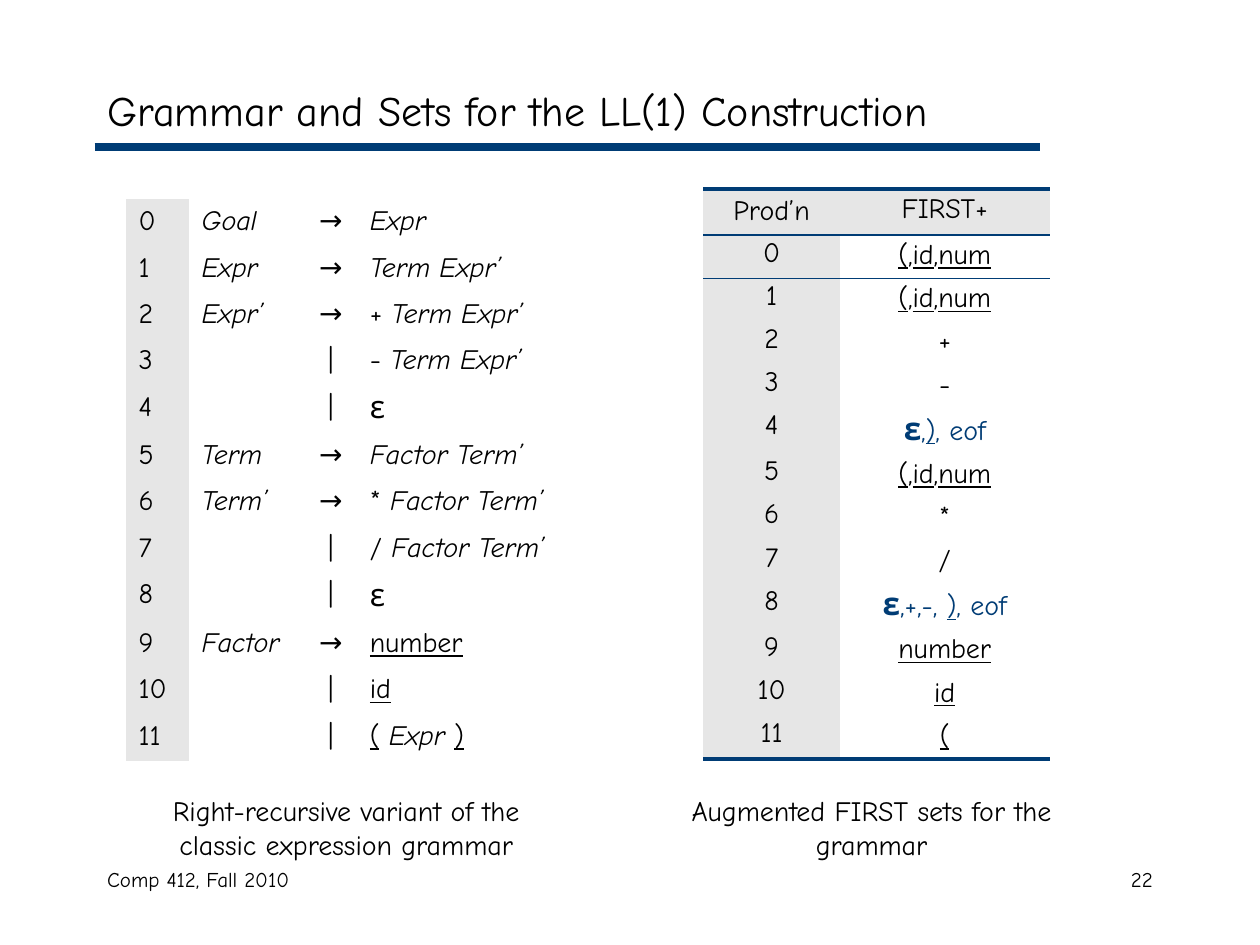
from typing import NamedTuple

from lxml.etree import SubElement as Sub
from pptx import Presentation
from pptx.dml.color import RGBColor
from pptx.enum.shapes import MSO_CONNECTOR as Link
from pptx.enum.text import MSO_ANCHOR as Anchor, PP_ALIGN as Align
from pptx.oxml import parse_xml
from pptx.oxml.ns import nsdecls, qn
from pptx.util import Cm, Pt

NAVY = RGBColor(0x00, 0x3C, 0x75)
GREY = RGBColor(0xE6, 0xE6, 0xE6)
BLACK = RGBColor(0, 0, 0)
FACE = "Comic Neue"
PLAIN = "{2D5ABB26-0587-4C30-8999-92F81FD0307C}"


class Run(NamedTuple):
    text: str
    size: float = 16
    color: RGBColor = BLACK
    slant: bool = False
    under: bool = False
    bold: bool = False


class Rule(NamedTuple):
    left: str
    mark: str
    right: list[Run]


class Note(NamedTuple):
    text: str
    x: float
    y: float
    w: float
    h: float
    size: float
    align: Align


def slant(text: str) -> Run:
    return Run(text, slant=True)


def under(text: str, color: RGBColor = BLACK) -> Run:
    return Run(text, color=color, under=True)


def blue(text: str) -> Run:
    return Run(text, color=NAVY)


def write(para, runs: list[Run], align=Align.LEFT, gap=None) -> None:
    para.alignment = align
    if gap:
        para.line_spacing = gap
    for item in runs:
        run = para.add_run()
        run.text = item.text
        font = run.font
        font.name, font.size = FACE, Pt(item.size)
        font.color.rgb = item.color
        font.italic, font.underline, font.bold = item.slant, item.under, item.bold
    if not runs:
        Sub(para._p, qn("a:endParaRPr"), sz="1600")


def shade(cell, grey: bool) -> None:
    if grey:
        cell.fill.solid()
        cell.fill.fore_color.rgb = GREY
    else:
        cell.fill.background()


def edge(cell, side: str, width: float) -> None:
    line = parse_xml(
        f'<a:ln{side} {nsdecls("a")} w="{Pt(width)}"><a:solidFill>'
        f'<a:srgbClr val="{NAVY}"/></a:solidFill></a:ln{side}>')
    cell._tc.get_or_add_tcPr().insert(0, line)


def add_grid(slide, x: float, y: float, cols: list[float], rows: list[float]):
    frame = slide.shapes.add_table(
        len(rows), len(cols), Cm(x), Cm(y), Cm(sum(cols)), Cm(sum(rows)))
    grid = frame.table
    grid.first_row = grid.horz_banding = False
    grid._tbl.tblPr.find(qn("a:tableStyleId")).text = PLAIN
    for col, wide in zip(grid.columns, cols):
        col.width = Cm(wide)
    for row, high in zip(grid.rows, rows):
        row.height = Cm(high)
    return grid


def add_note(slide, note: Note) -> None:
    box = slide.shapes.add_textbox(Cm(note.x), Cm(note.y), Cm(note.w), Cm(note.h))
    box.text_frame.word_wrap = True
    write(box.text_frame.paragraphs[0], [Run(note.text, note.size)], note.align)


EPS = Run("ε", 18)
BOLD_EPS = Run("ε", 18, NAVY, bold=True)
START = [under("("), Run(","), under("id"), Run(","), under("num")]
CLOSE = [under(")", NAVY), blue(", eof")]

RULES = [
    Rule("Goal", "→", [slant("Expr")]),
    Rule("Expr", "→", [slant("Term Expr’")]),
    Rule("Expr’", "→", [Run("+ "), slant("Term Expr’")]),
    Rule("", "|", [Run("- "), slant("Term Expr’")]),
    Rule("", "|", [EPS]),
    Rule("Term", "→", [slant("Factor Term’")]),
    Rule("Term’", "→", [Run("* "), slant("Factor Term’")]),
    Rule("", "|", [Run("/ "), slant("Factor Term’")]),
    Rule("", "|", [EPS]),
    Rule("Factor", "→", [under("number")]),
    Rule("", "|", [under("id")]),
    Rule("", "|", [under("("), Run(" "), slant("Expr "), under(")")]),
]

FIRSTS = [
    START, START, [Run("+")], [Run("-")],
    [BOLD_EPS, blue(","), *CLOSE],
    START, [Run("*")], [Run("/")],
    [BOLD_EPS, blue(",+,-, "), *CLOSE],
    [under("number")], [under("id")], [under("(")],
]

NOTES = [
    Note("Comp 412, Fall 2010", 1.91, 17.35, 8.05, 1.27, 12, Align.LEFT),
    Note("22", 18.21, 17.35, 5.28, 1.27, 12, Align.RIGHT),
    Note("Right-recursive variant of the classic expression grammar",
         2.75, 15.88, 8.46, 1.63, 16, Align.CENTER),
    Note("Augmented FIRST sets for the grammar",
         13.34, 15.88, 8.46, 1.63, 16, Align.CENTER),
]


def add_rules(slide) -> None:
    highs = [0.98 if EPS in rule.right else 0.93 for rule in RULES]
    grid = add_grid(slide, 2.54, 4.02, [1.27, 2.33, 1.06, 4.44], highs)
    for row, rule in enumerate(RULES):
        left = [slant(rule.left)] if rule.left else []
        parts = [[Run(str(row))], left, [Run(rule.mark)], rule.right]
        for col, runs in enumerate(parts):
            cell = grid.cell(row, col)
            shade(cell, col == 0)
            write(cell.text_frame.paragraphs[0], runs,
                  Align.CENTER if col == 2 else Align.LEFT,
                  0.95 if EPS in runs else None)


def add_firsts(slide) -> None:
    lines = [([Run("Prod’n")], [Run("FIRST+")])]
    lines += [([Run(str(num))], runs) for num, runs in enumerate(FIRSTS)]
    highs = [0.93 if row == 0 or BOLD_EPS in line[1] else 0.87
             for row, line in enumerate(lines)]
    grid = add_grid(slide, 14.18, 3.81, [2.75, 4.23], highs)
    last = len(lines) - 1
    for row, line in enumerate(lines):
        for col, runs in enumerate(line):
            cell = grid.cell(row, col)
            shade(cell, row == 0 or col == 0)
            gap = 0.9 if col else 0.8 if row else None
            write(cell.text_frame.paragraphs[0], runs, Align.CENTER, gap)
            if row in (0, last):
                edge(cell, "B", 2.25 if row else 1)
            if row in (0, 1):
                edge(cell, "T", 1 if row else 2.25)


def main() -> None:
    deck = Presentation()
    deck.slide_width, deck.slide_height = Cm(25.4), Cm(19.05)
    slide = deck.slides.add_slide(deck.slide_layouts[5])

    bar = slide.shapes.add_connector(
        Link.STRAIGHT, Cm(1.91), Cm(2.96), Cm(20.96), Cm(2.96))
    bar.line.color.rgb = NAVY
    bar.line.width = Pt(4.5)
    Sub(bar._element.spPr, qn("a:effectLst"))

    head = slide.shapes.title
    head.left, head.top, head.width, head.height = (
        Cm(1.91), Cm(1.48), Cm(21.59), Cm(1.48))
    head.text_frame.vertical_anchor = Anchor.MIDDLE
    write(head.text_frame.paragraphs[0],
          [Run("Grammar and Sets for the LL(1) Construction", 24)])

    add_rules(slide)
    add_firsts(slide)
    for note in NOTES:
        add_note(slide, note)
    deck.save("out.pptx")


if __name__ == "__main__":
    main()
